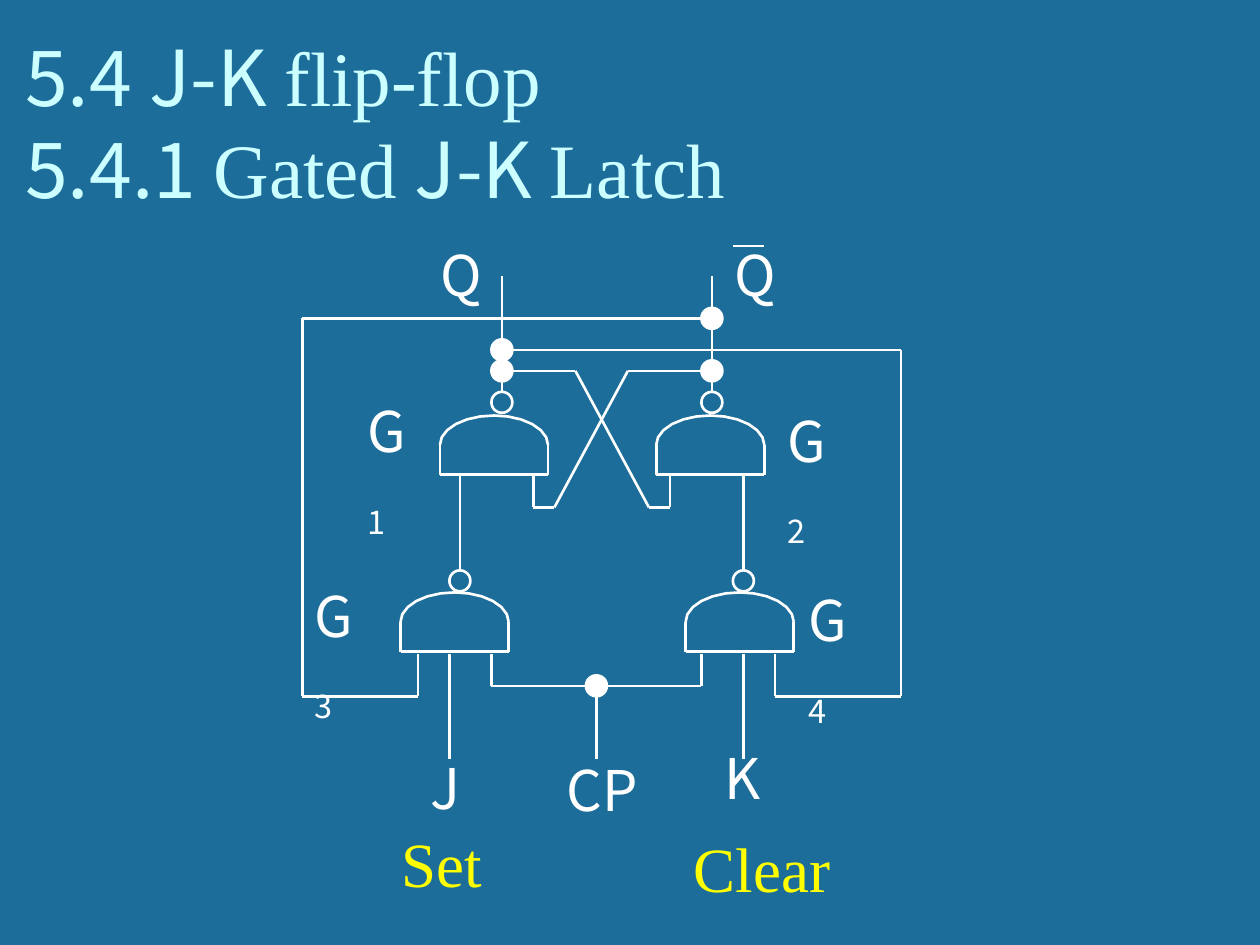
from itertools import pairwise
from math import cos, pi, sin

from pptx import Presentation
from pptx.dml.color import RGBColor
from pptx.enum.shapes import MSO_CONNECTOR, MSO_SHAPE
from pptx.enum.text import MSO_ANCHOR, PP_ALIGN
from pptx.oxml.ns import qn
from pptx.util import Inches, Pt
from lxml.etree import SubElement

COLORS = {"bg": "1C6D9A", "title": "CCFFFF", "ink": "FFFFFF", "accent": "FFFF00"}
SANS, SERIF = "Noto Sans CJK SC", "Times New Roman"
UNIT = 1 / 12

WIRES = [
    [(19, 15), (19, 4)],
    [(39, 15), (39, 4)],
    [(15, 32), (15, 25)],
    [(42, 32), (42, 25)],
    [(19, 13), (26, 13), (33, 26), (35, 26)],
    [(39, 13), (31, 13), (24, 26), (22, 26)],
    [(39, 8), (0, 8), (0, 44), (11, 44), (11, 42)],
    [(19, 11), (57, 11), (57, 44), (45, 44), (45, 42)],
    [(18, 43), (38, 43)],
    [(28, 43), (28, 50)],
    [(14, 40), (14, 50)],
    [(42, 40), (42, 50)],
    [(41, 1.1), (44, 1.1)],
]
STUBS = {23: (15, 22, 35, 42), 40: (11, 18, 38, 45)}
BUBBLES = [(19, 16), (39, 16), (15, 33), (42, 33)]
JUNCTIONS = [(19, 11), (19, 13), (39, 8), (39, 13), (28, 43)]
GATES = [(13.1, 17.25), (33.7, 17.25), (9.35, 34.1), (36.5, 34.1)]
LABELS = [
    ("Q", "", 12, 0, 5),
    ("Q", "", 40, 0, 5),
    ("CP", "", 24, 49, 11),
    ("J", "", 11, 48.9, 5),
    ("K", "", 39, 47.9, 5),
    ("G", "1", 5, 14.9, 6.8),
    ("G", "2", 45, 15.8, 6.8),
    ("G", "3", 0, 32.5, 6.8),
    ("G", "4", 47, 32.9, 6.8),
]
ROLES = [("Set", 8.3, 55.6, 13.2), ("Clear", 36.1, 56.1, 15.4)]


def rgb(name):
    return RGBColor.from_string(COLORS[name])


def add_run(p, text, font, size, color):
    r = p.add_run()
    r.text = text
    r.font.name, r.font.size = font, Pt(size)
    r.font.color.rgb = rgb(color)
    return r


def style_line(shape):
    shape.line.color.rgb = rgb("ink")
    shape.line.width = Pt(1.5)


def add_title(s, box):
    sp = s.shapes.title
    sp.left, sp.top, sp.width, sp.height = [Inches(v) for v in box]
    tf = sp.text_frame
    tf.word_wrap = True
    tf.vertical_anchor = MSO_ANCHOR.BOTTOM
    p = tf.paragraphs[0]
    p.alignment = PP_ALIGN.LEFT
    lines = [
        [("5.4 J-K ", SANS), ("flip-flop", SERIF)],
        [("5.4.1 ", SANS), ("Gated", SERIF), (" J-K ", SANS), ("Latch", SERIF)],
    ]
    for i, line in enumerate(lines):
        if i:
            p.add_line_break()
        for text, font in line:
            add_run(p, text, font, 44, "title")


def add_latch(s, left, top):
    def pos(col, row):
        return Inches(left + col * UNIT), Inches(top + row * UNIT)

    def add_wires(*chain):
        for start, end in pairwise(chain):
            c = s.shapes.add_connector(MSO_CONNECTOR.STRAIGHT, *pos(*start), *pos(*end))
            style_line(c)
            SubElement(c._element.spPr, qn("a:effectLst"))

    def add_circle(col, row, filled):
        size = Inches(2 * UNIT)
        sp = s.shapes.add_shape(MSO_SHAPE.OVAL, *pos(col - 1, row - 1), size, size)
        sp.shadow.inherit = False
        style_line(sp)
        if filled:
            sp.fill.solid()
            sp.fill.fore_color.rgb = rgb("ink")
        else:
            sp.fill.background()

    def add_gate(col, row, width=10.3, height=5.65, dome=2.8, steps=12):
        arc = [
            pos(col + width / 2 * (1 - cos(pi * i / steps)),
                row + dome * (1 - sin(pi * i / steps)))
            for i in range(steps + 1)
        ]
        fb = s.shapes.build_freeform(*arc[0])
        fb.add_line_segments(arc[1:], close=False)
        sp = fb.convert_to_shape()
        sp.shadow.inherit = False
        sp.fill.background()
        style_line(sp)
        right, base = col + width, row + height
        add_wires((col, row + dome), (col, base), (right, base), (right, row + dome))

    def add_label(col, row, width, height):
        sp = s.shapes.add_textbox(*pos(col, row), Inches(width * UNIT), Inches(height))
        tf = sp.text_frame
        tf.word_wrap = True
        return tf

    for chain in WIRES:
        add_wires(*chain)
    for row, cols in STUBS.items():
        for col in cols:
            add_wires((col, row), (col, row + 3))
    for point in BUBBLES:
        add_circle(*point, False)
    for point in JUNCTIONS:
        add_circle(*point, True)
    for point in GATES:
        add_gate(*point)
    for text, sub, col, row, width in LABELS:
        p = add_label(col, row, width, 0.63).paragraphs[0]
        add_run(p, text, SANS, 32, "ink")
        if sub:
            r = add_run(p, sub, SANS, 32, "ink")
            r.font._element.set("baseline", "-25000")
    for text, col, row, width in ROLES:
        tf = add_label(col, row, width, 0.7)
        tf.word_wrap = False
        add_run(tf.paragraphs[0], text, SERIF, 36, "accent")


def main():
    prs = Presentation()
    prs.slide_width, prs.slide_height = Inches(10), Inches(7.5)
    s = prs.slides.add_slide(prs.slide_layouts[5])
    s.background.fill.solid()
    s.background.fill.fore_color.rgb = rgb("bg")
    add_title(s, (0.1, 0.17, 9.67, 1.58))
    add_latch(s, 2.4, 1.86)
    prs.save("out.pptx")


if __name__ == "__main__":
    main()
